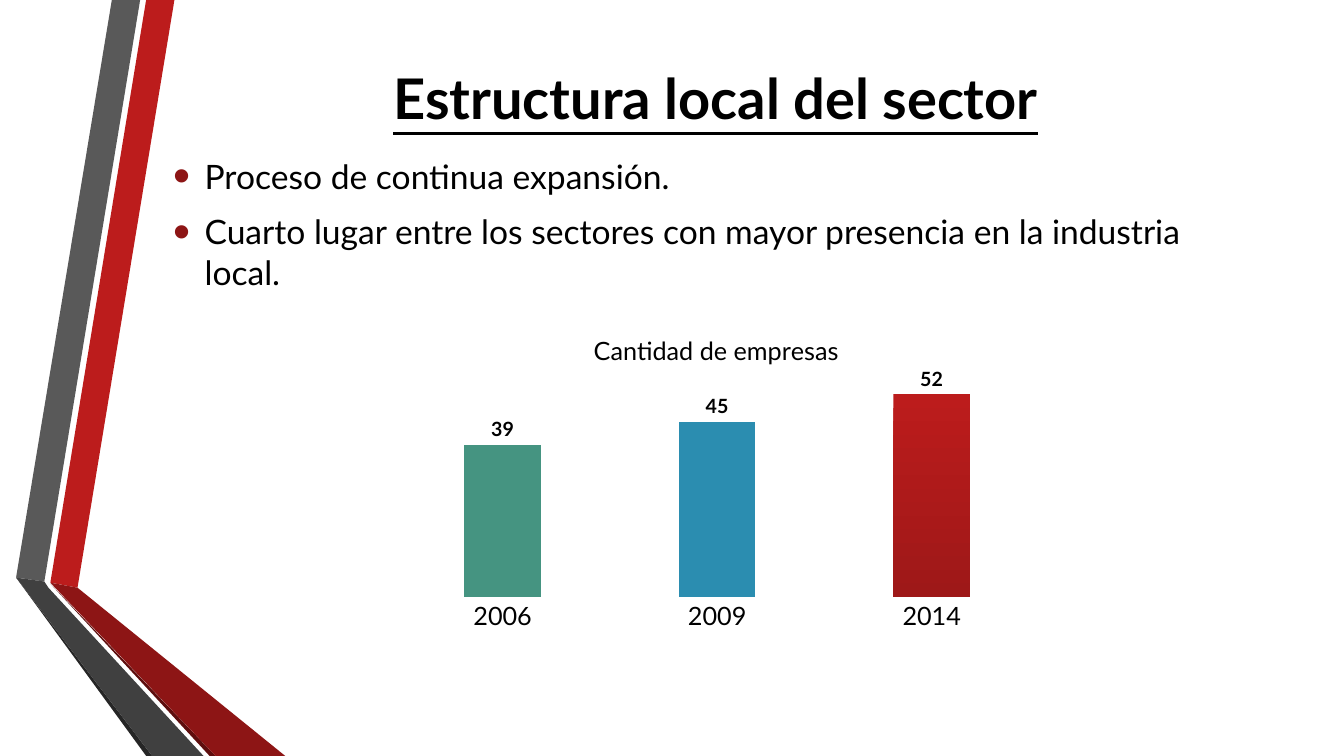
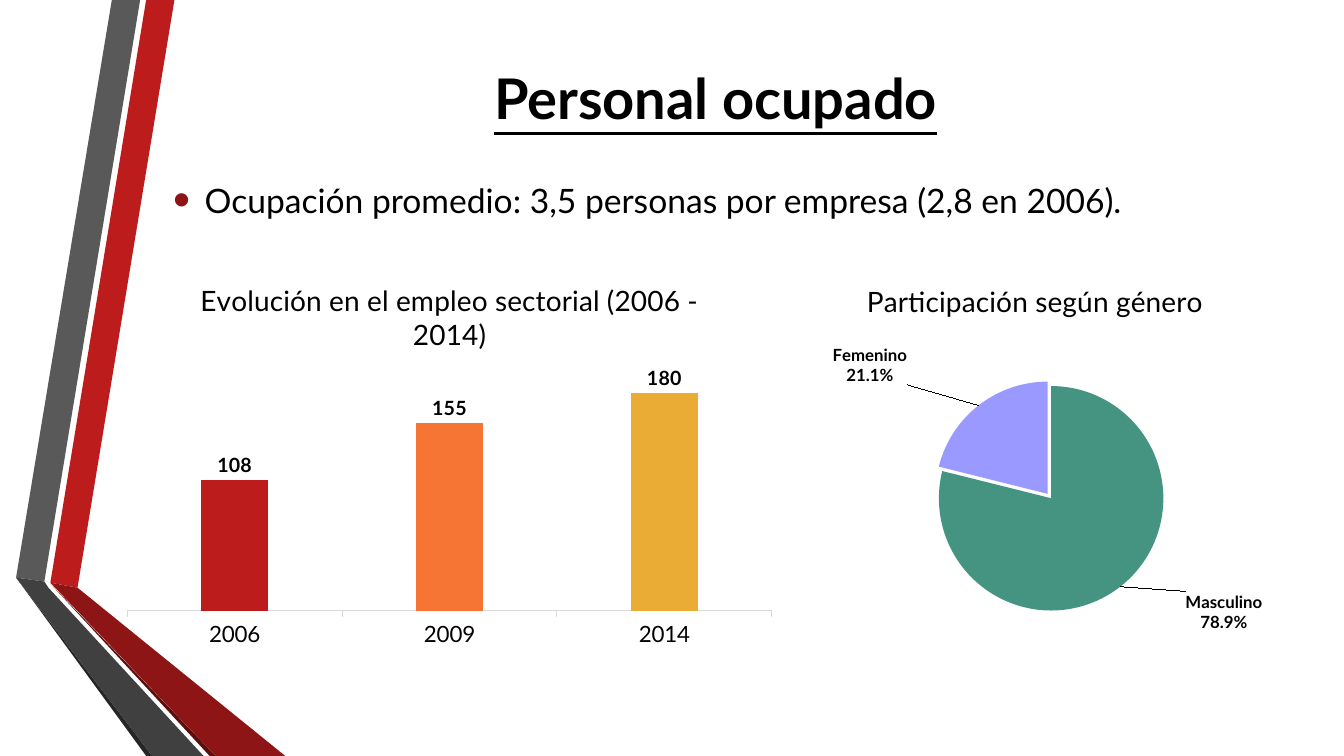
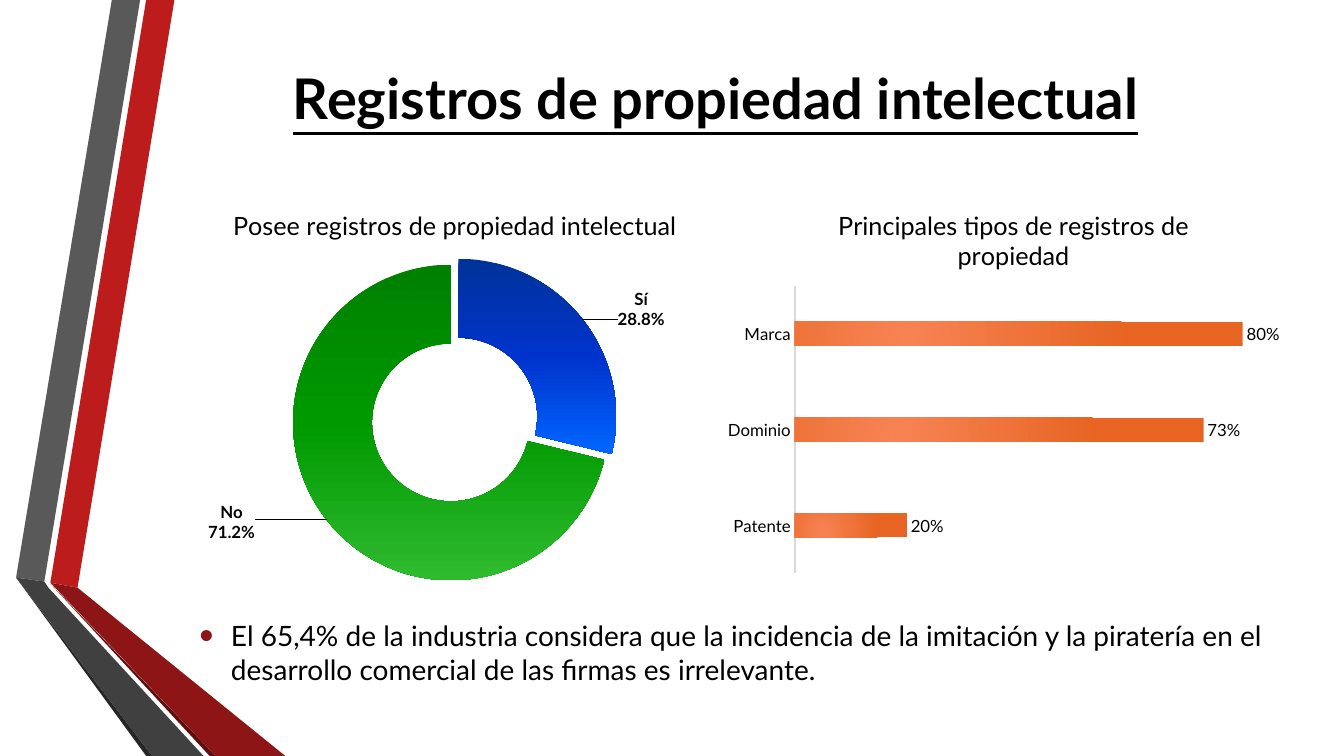
from copy import deepcopy
from pptx import Presentation
from pptx.chart.data import CategoryChartData
from pptx.dml.color import RGBColor
from pptx.enum.chart import XL_CHART_TYPE as KIND, XL_LABEL_POSITION as SPOT, XL_TICK_MARK as TICK
from pptx.enum.text import MSO_ANCHOR, PP_ALIGN
from pptx.oxml import parse_xml
from pptx.oxml.ns import nsdecls, qn
from pptx.util import Pt

FONT = "Lato"
HUE = {
    "black": "000000", "axis": "D9D9D9", "red": "BC1C1C", "brick": "9E1818",
    "wine": "8D1515", "maroon": "5E0E0E", "grey": "595959", "coal": "404040",
    "soot": "262626", "teal": "459481", "blue": "2B8DB0", "orange": "F67534",
    "gold": "EAAC35", "lilac": "9999FF", "navy": "003399", "royal": "0033CC",
    "azure": "0066FF", "forest": "008000", "green": "009900", "lime": "2FBB2F",
    "peach": "F78354", "rust": "E76422",
}
DOWN = '<a:lin ang="5400000" scaled="0"/>'
ROUND = ('<a:path path="circle"><a:fillToRect l="50000" t="100000" '
         'r="100000" b="50000"/></a:path>')


def write(frame, lines, size, bold=None, line=None, align=None, bullet=False):
    """Fill a text frame, one paragraph for each line."""
    frame.word_wrap = True
    for i, text in enumerate(lines):
        para = frame.add_paragraph() if i else frame.paragraphs[0]
        para.alignment = align
        run = para.add_run()
        run.text = text
        font = run.font
        font.name, font.size, font.bold, font.underline = FONT, Pt(size), bold, line
        font.color.rgb = RGBColor.from_string(HUE["black"])
        if bullet:
            para.space_before, para.space_after = Pt(size * 0.2), Pt(6)
            props = para._p.get_or_add_pPr()
            props.set("marL", str(Pt(22.5)))
            props.set("indent", str(-Pt(22.5)))
            for mark in (f'<a:buClr %s><a:srgbClr val="{HUE["wine"]}"/></a:buClr>',
                         '<a:buSzPct %s val="145000"/>',
                         '<a:buFont %s typeface="Arial"/>',
                         '<a:buChar %s char="•"/>'):
                props.append(parse_xml(mark % nsdecls("a")))


def draw(slide, kind, box, title, head, cats, vals, fills, area, size,
         fmt="General", bold=True, shade=DOWN, burst=None, shift=None,
         gap=None, lap=0, top=None, tick=TICK.NONE, rule=None, word=12, flip=False):
    """Add a chart; fills holds one tuple of colour names for each point."""
    data = CategoryChartData(number_format=fmt)
    data.categories = cats
    data.add_series("Series 1", vals)
    chart = slide.shapes.add_chart(kind, *map(Pt, box), data).chart
    chart.has_legend = False
    chart.font.name, chart.font.size = FONT, Pt(size)
    chart.font.color.rgb = RGBColor.from_string(HUE["black"])
    chart.has_title = True
    chart.chart_title.include_in_layout = False
    write(chart.chart_title.text_frame, [title], head, bold=False)
    plot = chart.plots[0]
    series = plot.series[0]
    ser = series._element

    # Plot area
    zone = chart._chartSpace.find(".//" + qn("c:plotArea"))
    for old in zone.findall(qn("c:layout")):
        zone.remove(old)
    spots = "".join(f'<c:{k} val="{v}"/>' for k, v in zip("xywh", area))
    zone.insert(0, parse_xml(
        f'<c:layout {nsdecls("c")}><c:manualLayout><c:layoutTarget val="inner"/>'
        f'<c:xMode val="edge"/><c:yMode val="edge"/>{spots}</c:manualLayout></c:layout>'))

    # Points
    for i, names in enumerate(fills):
        fill = series.points[i].format.fill
        fill.solid()
        fill.fore_color.rgb = RGBColor.from_string(HUE[names[0]])
        props = ser.findall(qn("c:dPt"))[i].find(qn("c:spPr"))
        if len(names) > 1:
            stops = "".join(
                f'<a:gs pos="{100000 * n // (len(names) - 1)}">'
                f'<a:srgbClr val="{HUE[name]}"/></a:gs>' for n, name in enumerate(names))
            props.replace(props[0], parse_xml(
                f'<a:gradFill {nsdecls("a")} rotWithShape="1">'
                f'<a:gsLst>{stops}</a:gsLst>{shade}</a:gradFill>'))
        if burst and burst[i]:
            props.addprevious(parse_xml(f'<c:explosion {nsdecls("c")} val="{burst[i]}"/>'))

    # Labels
    tags = series.data_labels
    tags.show_value = True
    tags.number_format, tags.number_format_is_linked = fmt, False
    tags.font.name, tags.font.bold = FONT, bold
    tags.font.size = Pt(12 if fmt != "General" else 14)
    tags.font.color.rgb = RGBColor.from_string(HUE["black"])
    if kind != KIND.DOUGHNUT:
        tags.position = SPOT.OUTSIDE_END
    if shift:
        tags.show_category_name = True
        group = ser.find(qn("c:dLbls"))
        group.find(qn("c:showBubbleSize")).addnext(
            parse_xml(f'<c:separator {nsdecls("c")}>\n</c:separator>'))
        parts = [p for p in group if p.tag != qn("c:showLeaderLines")]
        for i, (x, y) in enumerate(shift):
            tag = parse_xml(
                f'<c:dLbl {nsdecls("c")}><c:idx val="{i}"/><c:layout><c:manualLayout>'
                f'<c:x val="{x}"/><c:y val="{y}"/></c:manualLayout></c:layout></c:dLbl>')
            tag.extend(deepcopy(parts))
            group.insert(i, tag)

    # Bars and axes
    if gap:
        plot.vary_by_categories = False
        plot.gap_width, plot.overlap = gap, lap
        value, axis = chart.value_axis, chart.category_axis
        value.has_major_gridlines = False
        value.minimum_scale, value.maximum_scale = 0, top
        value.visible = False
        axis.major_tick_mark = tick
        axis.reverse_order = flip
        axis.tick_labels.font.name = FONT
        axis.tick_labels.font.size = Pt(word)
        if rule:
            axis.format.line.width = Pt(rule)
            axis.format.line.color.rgb = RGBColor.from_string(HUE["axis"])
        else:
            axis.format.line.fill.background()


deck = Presentation()
deck.slide_width, deck.slide_height = Pt(960), Pt(540)
blank = deck.slide_layouts[6]

# Titles and bullets
PAGES = [
    ("Estructura local del sector", (116.6, 123.1, 789.1, 73.4), 24,
     ["Proceso de continua expansión.",
      "Cuarto lugar entre los sectores con mayor presencia en la industria local."]),
    ("Personal ocupado", (116.6, 98.6, 789.1, 88.6), 24,
     ["Ocupación promedio: 3,5 personas por empresa (2,8 en 2006)."]),
    ("Registros de propiedad intelectual", (135.4, 419, 789.1, 93.6), 20,
     ["El 65,4% de la industria considera que la incidencia de la imitación y la "
      "piratería en el desarrollo comercial de las firmas es irrelevante."]),
]
slides = []
for title, box, size, lines in PAGES:
    slide = deck.slides.add_slide(blank)
    slides.append(slide)
    for place, text, look in (
            ((116.6, 0, 789.1, 138.2), [title],
             dict(size=40, bold=True, line=True, align=PP_ALIGN.CENTER)),
            (box, lines, dict(size=size, bullet=True))):
        frame = slide.shapes.add_textbox(*map(Pt, place)).text_frame
        frame.vertical_anchor = MSO_ANCHOR.MIDDLE
        write(frame, text, **look)
first, second, third = slides

# Ribbons, kept in the shared layout
RIBBONS = [
    ("red", [(36, 416.2), (55.4, 419.8), (124.6, 0), (104.4, 0)]),
    ("grey", [(100.1, 0), (79.9, 0), (11.5, 412.6), (31.7, 415.4)]),
    ("soot", [(11.5, 412.6), (104.4, 540), (108.7, 540)]),
    ("maroon", [(36, 416.9), (149.8, 540), (154.1, 540)]),
    ("wine", [(36, 416.2), (154.1, 540), (203.8, 540), (55.4, 419.8)]),
    ("coal", [(145.4, 540), (34.6, 419.8), (31.7, 415.4), (11.5, 412.6), (108.7, 540)]),
]
for hue, dots in RIBBONS:
    start, *rest = [(Pt(x), Pt(y)) for x, y in dots]
    pen = first.shapes.build_freeform(*start)
    pen.add_line_segments(rest, close=True)
    band = pen.convert_to_shape()
    band.shadow.inherit = False
    band.fill.solid()
    band.fill.fore_color.rgb = RGBColor.from_string(HUE[hue])
    band.line.fill.background()
    blank.shapes.element.append(band.element)

# Charts
YEARS = ["2006", "2009", "2014"]
draw(first, KIND.COLUMN_CLUSTERED, (275.8, 225.4, 471.6, 239),
     "Cantidad de empresas", 18, YEARS, [39, 45, 52],
     [("teal",), ("blue",), ("red", "brick")], (0.014, 0.143, 0.975, 0.698), 10,
     gap=180, top=60, word=18)
draw(second, KIND.COLUMN_CLUSTERED, (81.4, 186.5, 479.5, 281.5),
     "Evolución en el empleo sectorial (2006 - 2014)", 20, YEARS, [108, 155, 180],
     [("red",), ("orange",), ("gold",)], (0.02, 0.274, 0.96, 0.614), 10,
     gap=219, lap=-27, top=200, tick=TICK.OUTSIDE, rule=0.75, word=16)
draw(second, KIND.PIE, (519.1, 186.5, 440.6, 326.9),
     "Participación según género", 20, ["Masculino", "Femenino"], [0.789, 0.211],
     [("teal",), ("lilac",)], (0.344, 0.273, 0.364, 0.491), 10, fmt="0.0%",
     burst=(0, 5), shift=[(0.1, 0), (-0.11, -0.035)])
draw(third, KIND.DOUGHNUT, (74.2, 135.4, 501.1, 287.3),
     "Posee registros de propiedad intelectual", 18, ["Sí", "No"], [0.288, 0.712],
     [("navy", "royal", "azure"), ("forest", "green", "lime")],
     (0.275, 0.179, 0.45, 0.786), 12, fmt="0.0%",
     burst=(6, 6), shift=[(0.128, -0.087), (-0.18, 0.065)])
draw(third, KIND.BAR_CLUSTERED, (511.2, 135.4, 425.5, 279.4),
     "Principales tipos de registros de propiedad", 18,
     ["Marca", "Dominio", "Patente"], [0.8, 0.73, 0.2], [("peach", "rust")] * 3,
     (0.133, 0.247, 0.846, 0.734), 12, fmt="0%", bold=False, shade=ROUND,
     gap=300, lap=-20, top=0.9, rule=1, flip=True)

deck.save("out.pptx")
